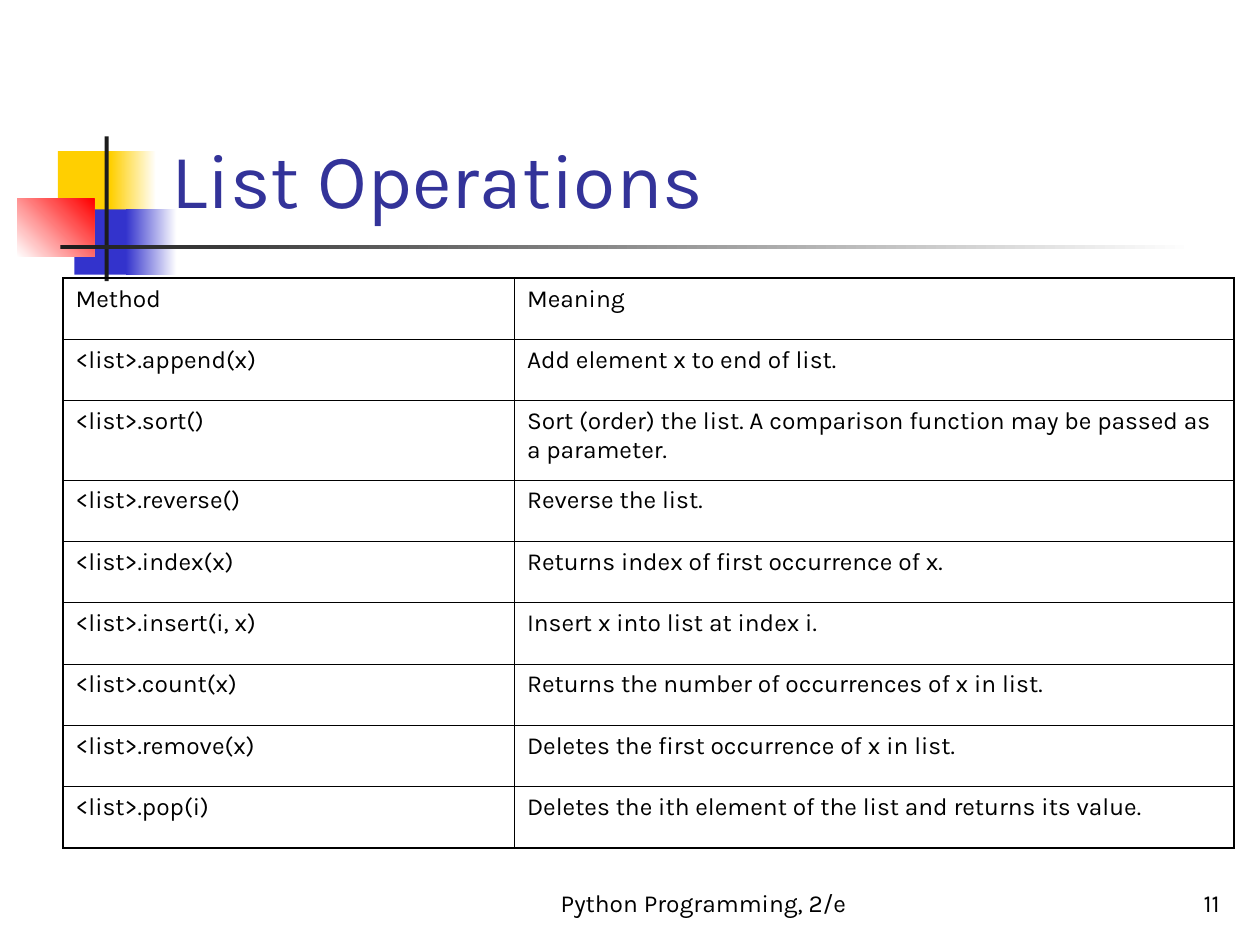
import pptx
import pptx.util
import pptx.dml.color
import pptx.enum.text
import pptx.enum.shapes
import pptx.oxml
import pptx.oxml.ns

Cm, Pt = pptx.util.Cm, pptx.util.Pt
RGB = pptx.dml.color.RGBColor
ALIGN = pptx.enum.text.PP_ALIGN
BOTTOM = pptx.enum.text.MSO_ANCHOR.BOTTOM
RECT = pptx.enum.shapes.MSO_SHAPE.RECTANGLE

FONT = "Karla"
BLACK = RGB(0, 0, 0)
WHITE = RGB(255, 255, 255)
NAVY = RGB(0x33, 0x33, 0x99)
GOLD = RGB(0xFF, 0xCF, 0x01)
BLUE = RGB(0x33, 0x33, 0xCC)
RED = RGB(0xFF, 0, 0)
DARK = RGB(0x1C, 0x1C, 0x1C)

TITLE = "List Operations"
ROWS = [
    ("Method", "Meaning"),
    ("<list>.append(x)", "Add element x to end of list."),
    ("<list>.sort()", "Sort (order) the list. A comparison function may be passed as a parameter."),
    ("<list>.reverse()", "Reverse the list."),
    ("<list>.index(x)", "Returns index of first occurrence of x."),
    ("<list>.insert(i, x)", "Insert x into list at index i."),
    ("<list>.count(x)", "Returns the number of occurrences of x in list."),
    ("<list>.remove(x)", "Deletes the first occurrence of x in list."),
    ("<list>.pop(i)", "Deletes the ith element of the list and returns its value."),
]
DECOR = [
    ((1.17, 3.05, 1.22, 1.32), [GOLD], 0),
    ((2.23, 3.05, 0.92, 1.32), [GOLD, WHITE], 0),
    ((1.5, 4.22, 1.17, 1.32), [BLUE], 0),
    ((2.54, 4.22, 1.02, 1.32), [BLUE, WHITE], 0),
    ((0.35, 4.01, 1.55, 1.17), [WHITE, RED], 45),
    ((2.11, 2.75, 0.08, 2.92), [DARK], 0),
    ((1.22, 4.94, 22.86, 0.09), [DARK, WHITE], 0),
]
FOOT = [
    ((10.16, 17.35, 8.05, 1.27), "Python Programming, 2/e", ALIGN.CENTER),
    ((19.56, 17.35, 5.28, 1.27), "11", ALIGN.RIGHT),
]
GRID = (1.27, 5.61, 23.6, 11.48)
COLS = (9.1, 14.5)
TALL, WRAPS = 1.6, 2
THICK, THIN = 1.08, 0.45


def write(frame, text, size=14, color=BLACK, align=ALIGN.LEFT, before=0):
    par = frame.paragraphs[0]
    par.text = text
    par.alignment = align
    par.space_before = Pt(before)
    font = par.runs[0].font
    font.name, font.size, font.color.rgb = FONT, Pt(size), color


def paint(slide, box, tones, angle):
    shape = slide.shapes.add_shape(RECT, *map(Cm, box))
    shape.shadow.inherit = False
    shape.line.fill.background()
    if len(tones) == 1:
        shape.fill.solid()
        shape.fill.fore_color.rgb = tones[0]
        return
    shape.fill.gradient()
    shape.fill.gradient_angle = angle
    for stop, tone in zip(shape.fill.gradient_stops, tones):
        stop.color.rgb = tone


def edge(cell, widths):
    props = cell._tc.get_or_add_tcPr()
    for side, width in widths.items():
        props.append(pptx.oxml.parse_xml(
            f'<a:{side} {pptx.oxml.ns.nsdecls("a")} w="{Pt(width)}"><a:solidFill>'
            f'<a:srgbClr val="{BLACK}"/></a:solidFill></a:{side}>'))


def fill(slide):
    last = len(ROWS) - 1
    table = slide.shapes.add_table(len(ROWS), len(COLS), *map(Cm, GRID)).table
    table.first_row = table.horz_banding = False
    for col, width in zip(table.columns, COLS):
        col.width = Cm(width)
    for r, row in enumerate(ROWS):
        table.rows[r].height = Cm(TALL if r == WRAPS else (GRID[3] - TALL) / last)
        for c, text in enumerate(row):
            cell = table.cell(r, c)
            write(cell.text_frame, text, before=3.5)
            edge(cell, {
                "lnL": THICK if c == 0 else THIN,
                "lnR": THICK if c == len(COLS) - 1 else THIN,
                "lnT": THICK if r == 0 else THIN,
                "lnB": THICK if r == last else THIN,
            })
            cell.fill.background()


def main():
    deck = pptx.Presentation()
    deck.slide_width, deck.slide_height = Cm(25.4), Cm(19.05)
    slide = deck.slides.add_slide(deck.slide_layouts[5])
    for item in DECOR:
        paint(slide, *item)
    for box, text, align in FOOT:
        frame = slide.shapes.add_textbox(*map(Cm, box)).text_frame
        frame.word_wrap, frame.vertical_anchor = True, BOTTOM
        write(frame, text, align=align)
    title = slide.shapes.title
    title.left, title.top, title.width, title.height = map(Cm, (3.2, 0.58, 21.64, 4.06))
    title.text_frame.vertical_anchor = BOTTOM
    write(title.text_frame, TITLE, size=44, color=NAVY)
    fill(slide)
    deck.save("out.pptx")


if __name__ == "__main__":
    main()
